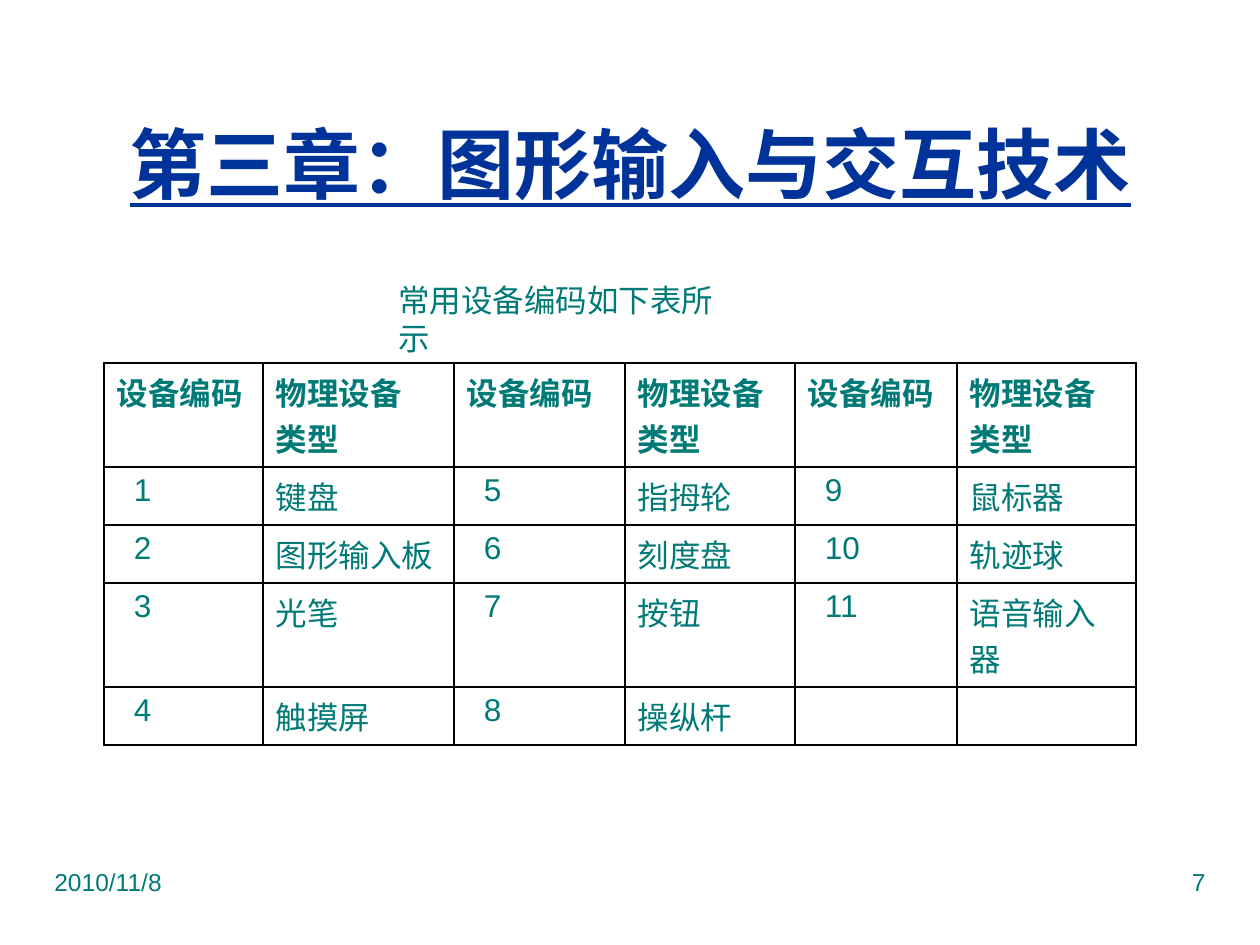
"""Build the slide listing the common input device codes."""
import pptx
import pptx.dml.color
import pptx.enum.text
import pptx.oxml
import pptx.oxml.ns
import pptx.util

ALIGN = pptx.enum.text.PP_ALIGN
ANCHOR = pptx.enum.text.MSO_ANCHOR
TEAL, NAVY, BLACK = "007A77", "003399", "000000"


def px(n):
    return pptx.util.Emu(round(n * 914400 / 126))


def rgb(value):
    return pptx.dml.color.RGBColor.from_string(value)


class Slide:
    def __init__(self, prs):
        self.s = prs.slides.add_slide(prs.slide_layouts[5])

    def style(self, p, size, color=TEAL, font="Arial", bold=False, align=ALIGN.LEFT):
        p.alignment = align
        p.font.name, p.font.size, p.font.bold = font, pptx.util.Pt(size), bold
        p.font.color.rgb = rgb(color)

    def title(self, text, *box):
        sp = self.s.shapes.title
        sp.left, sp.top, sp.width, sp.height = map(px, box)
        tf = sp.text_frame
        tf.text = text
        tf.vertical_anchor = ANCHOR.MIDDLE
        p = tf.paragraphs[0]
        self.style(p, 44, NAVY, bold=True, align=ALIGN.CENTER)
        p.font.underline = True

    def text(self, text, *box, wrap=True, **style):
        tf = self.s.shapes.add_textbox(*map(px, box)).text_frame
        tf.word_wrap = wrap
        tf.text = text
        self.style(tf.paragraphs[0], **style)

    def borders(self, cell):
        tc_pr = cell._tc.get_or_add_tcPr()
        for i, side in enumerate(("lnL", "lnR", "lnT", "lnB")):
            tc_pr.insert(i, pptx.oxml.parse_xml(
                f'<a:{side} {pptx.oxml.ns.nsdecls("a")} w="12700"><a:solidFill>'
                f'<a:srgbClr val="{BLACK}"/></a:solidFill></a:{side}>'))

    def table(self, rows, left, top, widths, heights):
        frame = self.s.shapes.add_table(
            len(rows), len(widths), px(left), px(top), px(sum(widths)), px(sum(heights)))
        table = frame.table
        for column, width in zip(table.columns, widths):
            column.width = px(width)
        for i, (row, height) in enumerate(zip(rows, heights)):
            table.rows[i].height = px(height)
            for j, text in enumerate(row):
                cell = table.cell(i, j)
                cell.text = text
                cell.fill.background()
                if text.isdigit():
                    cell.margin_left = px(30)
                for p in cell.text_frame.paragraphs:
                    self.style(p, 18, bold=i == 0)
                self.borders(cell)


def main():
    prs = pptx.Presentation()
    prs.slide_width, prs.slide_height = px(1260), px(945)
    s = Slide(prs)
    s.title("第三章：图形输入与交互技术", 42, 84, 1177, 158)
    s.text("2010/11/8", 42, 861, 315, 66, size=14)
    s.text("7", 903, 861, 315, 66, size=14, align=ALIGN.RIGHT)
    s.text("常用设备编码如下表所示", 386, 275, 370, 50,
           wrap=False, size=18, font="Times New Roman")
    rows = [
        ["设备编码", "物理设备\n类型", "设备编码", "物理设备类型", "设备编码", "物理设备类型"],
        ["1", "键盘", "5", "指拇轮", "9", "鼠标器"],
        ["2", "图形输入板", "6", "刻度盘", "10", "轨迹球"],
        ["3", "光笔", "7", "按钮", "11", "语音输入器"],
        ["4", "触摸屏", "8", "操纵杆", "", ""],
    ]
    s.table(rows, 104, 363, [159, 191, 171, 170, 162, 179], [104, 58, 58, 104, 58])
    prs.save("out.pptx")


if __name__ == "__main__":
    main()
